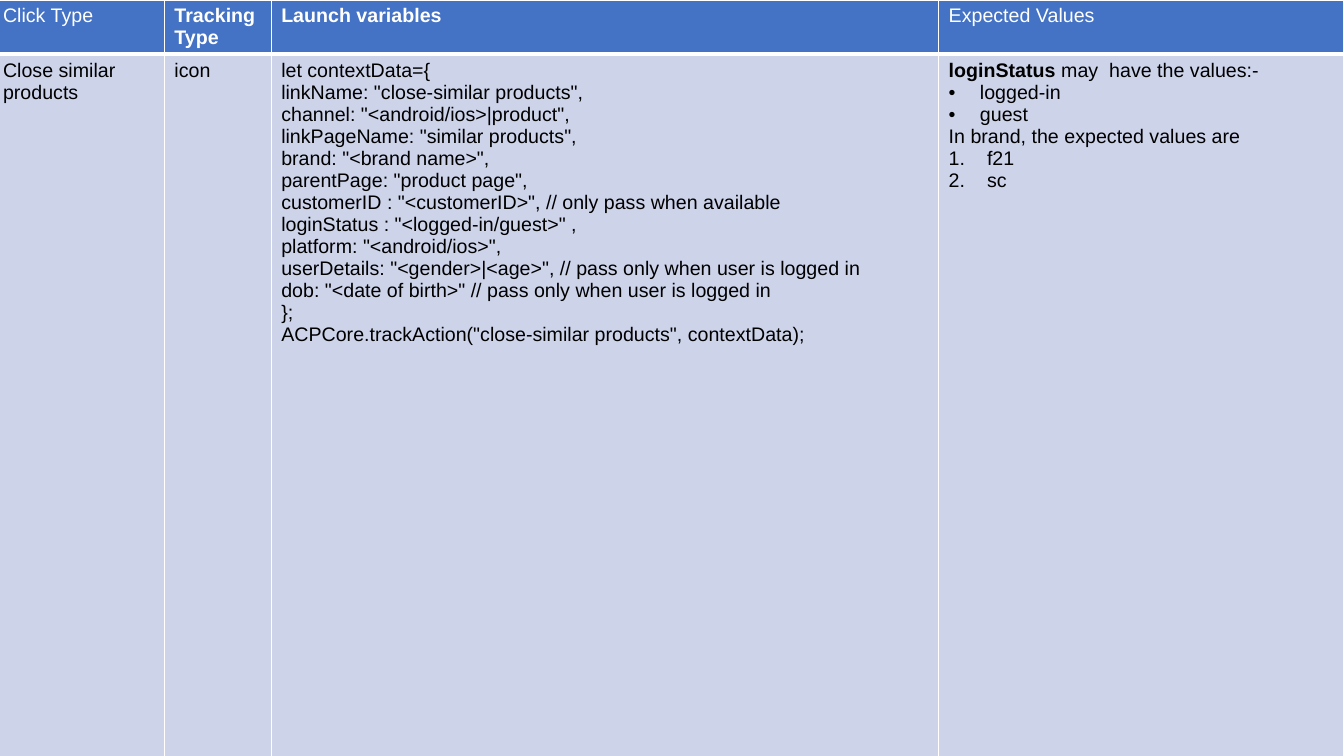
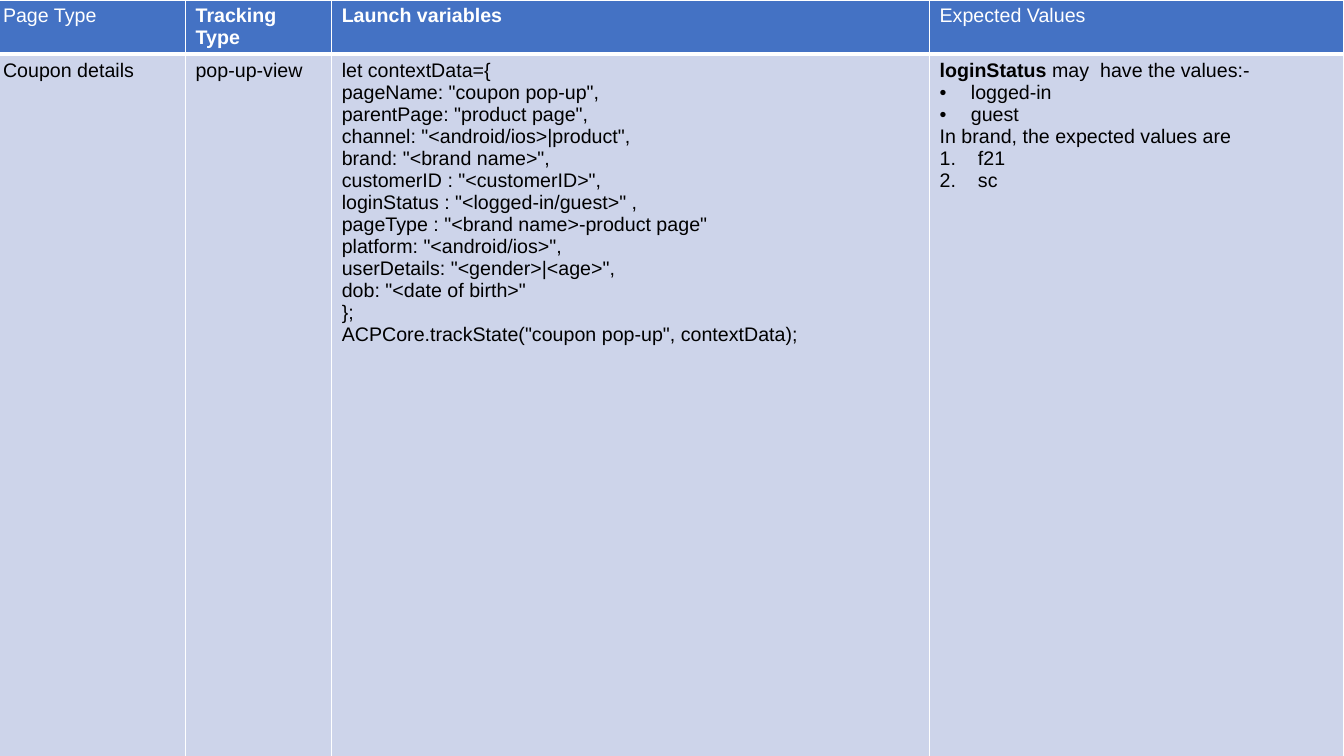
from lxml import etree
from pptx import Presentation
from pptx.dml.color import RGBColor
from pptx.oxml.ns import qn
from pptx.util import Inches, Pt

SLIDE_W, SLIDE_H = 13.33, 7.5
TABLE_LEFT = -0.07
HEADER_H = 0.38
FONT, SIZE = "Arial", 14
COLORS = {"header": "4472C4", "body": "CDD4EA", "border": "FFFFFF",
          "header_text": "FFFFFF", "body_text": "000000"}
THIN, THICK = 1, 3
BULLET = ("buChar", {"char": "•"}, 0.31)
NUMBER = ("buAutoNum", {"type": "arabicPeriod"}, 0.38)

# Each line is (runs, list marker); each run is (text, bold).
EXPECTED_VALUES = [
    ([("loginStatus ", True), ("may  have the values:-", False)], None),
    ([("logged-in", False)], BULLET),
    ([("guest", False)], BULLET),
    ([("In brand, the expected values are", False)], None),
    ([("f21", False)], NUMBER),
    ([("sc", False)], NUMBER),
]

CLOSE_SIMILAR_CODE = """let contextData={
linkName: "close-similar products",
channel: "<android/ios>|product",
linkPageName: "similar products",
brand: "<brand name>",
parentPage: "product page",
customerID : "<customerID>", // only pass when available
loginStatus : "<logged-in/guest>" ,
platform: "<android/ios>",
userDetails: "<gender>|<age>", // pass only when user is logged in
dob: "<date of birth>" // pass only when user is logged in
};
ACPCore.trackAction("close-similar products", contextData);"""

COUPON_CODE = """let contextData={
pageName: "coupon pop-up",
parentPage: "product page",
channel: "<android/ios>|product",
brand: "<brand name>",
customerID : "<customerID>",
loginStatus : "<logged-in/guest>" ,
pageType : "<brand name>-product page"
platform: "<android/ios>",
userDetails: "<gender>|<age>",
dob: "<date of birth>"
};
ACPCore.trackState("coupon pop-up", contextData);"""


def plain(text, bold=False):
    """Turn each line of a text into a one-run line without a marker."""
    return [([(line, bold)], None) for line in text.split("\n")]


def add_marker(p, marker):
    tag, attrs, indent = marker
    pPr = p._p.get_or_add_pPr()
    pPr.set("marL", str(Inches(indent)))
    pPr.set("indent", str(-Inches(indent)))
    color = etree.SubElement(pPr, qn("a:buClr"))
    etree.SubElement(color, qn("a:srgbClr"), val=COLORS["body_text"])
    etree.SubElement(pPr, qn("a:buFont"), typeface=FONT)
    etree.SubElement(pPr, qn("a:" + tag), attrs)


def set_borders(cell, top, bottom):
    tcPr = cell._tc.get_or_add_tcPr()
    for side, width in (("L", THIN), ("R", THIN), ("T", top), ("B", bottom)):
        ln = etree.SubElement(tcPr, qn("a:ln" + side), w=str(Pt(width)))
        fill = etree.SubElement(ln, qn("a:solidFill"))
        etree.SubElement(fill, qn("a:srgbClr"), val=COLORS["border"])


def fill_cell(cell, lines, kind):
    """Write lines into a cell in the style of its row kind: header or body."""
    if kind == "header":
        set_borders(cell, THIN, THICK)
    else:
        set_borders(cell, THICK, THIN)
    cell.fill.solid()
    cell.fill.fore_color.rgb = RGBColor.from_string(COLORS[kind])
    tf = cell.text_frame
    for i, (runs, marker) in enumerate(lines):
        p = tf.add_paragraph() if i else tf.paragraphs[0]
        if marker:
            add_marker(p, marker)
        for text, bold in runs:
            r = p.add_run()
            r.text = text
            r.font.name, r.font.size, r.font.bold = FONT, Pt(SIZE), bold
            r.font.color.rgb = RGBColor.from_string(COLORS[kind + "_text"])


def add_tracking_slide(prs, col_widths, first_heading, name, tracking_type, code):
    s = prs.slides.add_slide(prs.slide_layouts[6])
    table = s.shapes.add_table(
        2, len(col_widths), Inches(TABLE_LEFT), 0,
        Inches(sum(col_widths)), Inches(SLIDE_H)).table
    table.horz_banding = False
    for column, width in zip(table.columns, col_widths):
        column.width = Inches(width)
    for row, height in zip(table.rows, (HEADER_H, SLIDE_H - HEADER_H)):
        row.height = Inches(height)

    header = [plain(first_heading), plain("Tracking Type", True),
              plain("Launch variables", True), plain("Expected Values")]
    body = [plain(name), plain(tracking_type), plain(code), EXPECTED_VALUES]
    for row, kind, contents in zip(table.rows, ("header", "body"), (header, body)):
        for cell, lines in zip(row.cells, contents):
            fill_cell(cell, lines, kind)


def main():
    prs = Presentation()
    prs.slide_width, prs.slide_height = Inches(SLIDE_W), Inches(SLIDE_H)
    add_tracking_slide(prs, (1.7, 1.06, 6.62, 4.02), "Click Type",
                       "Close similar products", "icon", CLOSE_SIMILAR_CODE)
    add_tracking_slide(prs, (1.91, 1.45, 5.93, 4.11), "Page Type",
                       "Coupon details", "pop-up-view", COUPON_CODE)
    prs.save("out.pptx")


if __name__ == "__main__":
    main()
